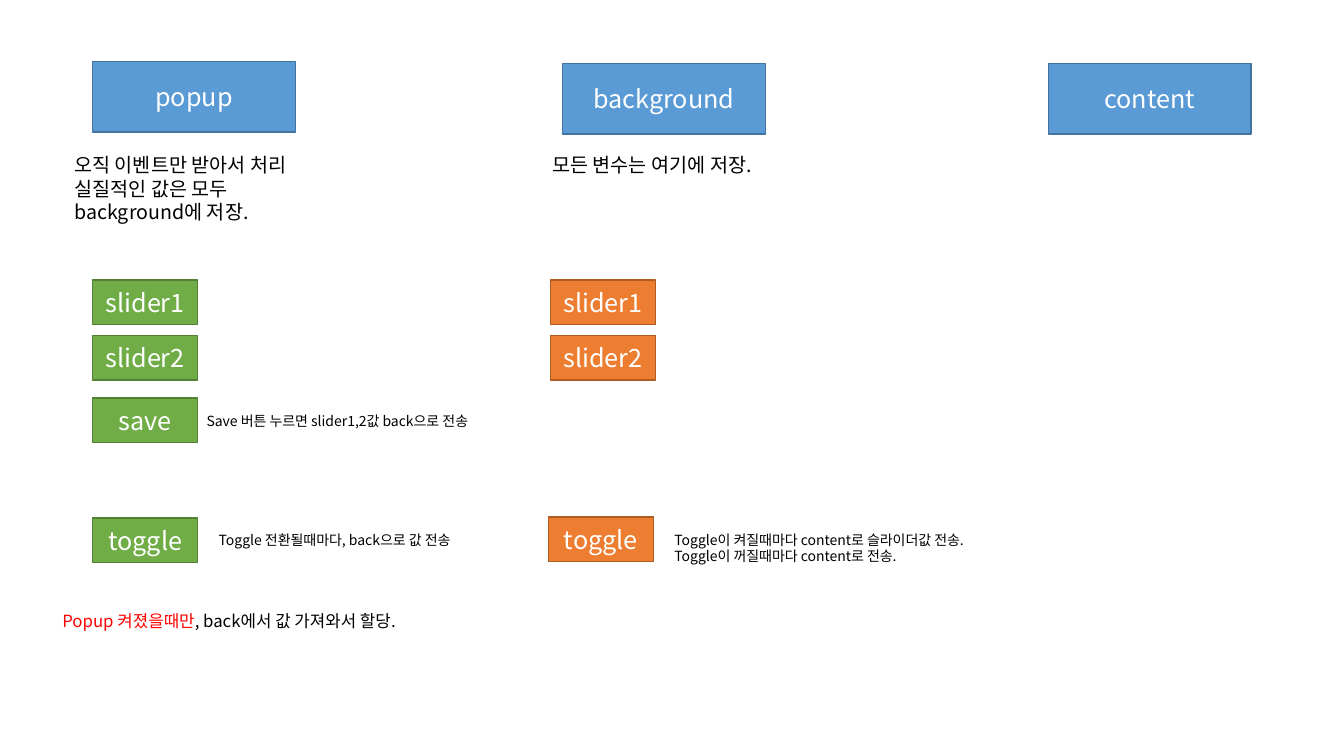
from dataclasses import dataclass

from lxml import etree
from pptx import Presentation
from pptx.dml.color import RGBColor
from pptx.enum.shapes import MSO_SHAPE
from pptx.enum.text import MSO_ANCHOR, MSO_AUTO_SIZE, PP_ALIGN
from pptx.oxml.ns import qn
from pptx.util import Inches, Pt

RECT = MSO_SHAPE.RECTANGLE
MIDDLE = MSO_ANCHOR.MIDDLE
CENTER = PP_ALIGN.CENTER
FIT_SHAPE = MSO_AUTO_SIZE.SHAPE_TO_FIT_TEXT


@dataclass(frozen=True)
class Theme:
    """Colours, as (fill, line) pairs for boxes, and type sizes."""
    font: str = "Noto Sans CJK KR"
    blue: tuple = ("5B9BD5", "43739E")
    green: tuple = ("70AD47", "538035")
    orange: tuple = ("ED7D31", "AF5C24")
    white: str = "FFFFFF"
    black: str = "000000"
    red: str = "FF0000"
    label: int = 18
    body: int = 14
    rule: int = 12
    note: int = 10


THEME = Theme()
HEADER_SIZE = (2.01, 0.7)
CONTROL_SIZE = (1.04, 0.44)
SLIDER_STEP = 0.55


def set_font(p, size, color):
    """Style a whole paragraph, for Latin and Korean text alike."""
    p.font.size = Pt(size)
    p.font.color.rgb = RGBColor.from_string(color)
    p.font.name = THEME.font
    latin = p._p.pPr.find(qn("a:defRPr")).find(qn("a:latin"))
    ea = etree.Element(qn("a:ea"), typeface=THEME.font)
    latin.addnext(ea)


def add_box(s, left, top, size, text, colors):
    """Add a rectangle with a centred white label."""
    fill, line = colors
    sp = s.shapes.add_shape(RECT, Inches(left), Inches(top), *map(Inches, size))
    sp.shadow.inherit = False
    sp.fill.solid()
    sp.fill.fore_color.rgb = RGBColor.from_string(fill)
    sp.line.color.rgb = RGBColor.from_string(line)
    sp.line.width = Pt(1)
    tf = sp.text_frame
    tf.vertical_anchor = MIDDLE
    p = tf.paragraphs[0]
    p.alignment = CENTER
    p.add_run().text = text
    set_font(p, THEME.label, THEME.white)


def add_text(s, box, lines, size):
    """Add an unwrapped text box with one paragraph per line."""
    tf = s.shapes.add_textbox(*map(Inches, box)).text_frame
    tf.word_wrap = False
    tf.auto_size = FIT_SHAPE
    for i, line in enumerate(lines):
        p = tf.add_paragraph() if i else tf.paragraphs[0]
        p.add_run().text = line
        set_font(p, size, THEME.black)
    return tf


def add_header(s, left, top, name, text_box=None, lines=()):
    """Add a component header and, if given, its description."""
    add_box(s, left, top, HEADER_SIZE, name, THEME.blue)
    if lines:
        add_text(s, text_box, lines, THEME.body)


def add_sliders(s, left, top, colors):
    """Stack the two slider boxes from the given corner."""
    for i in range(2):
        add_box(s, left, top + i * SLIDER_STEP, CONTROL_SIZE, f"slider{i + 1}", colors)


def add_control(s, left, top, name, colors, note_box, lines):
    """Add a control box and the note to its right, offset from its corner."""
    add_box(s, left, top, CONTROL_SIZE, name, colors)
    dx, dy, width, height = note_box
    add_text(s, (left + dx, top + dy, width, height), lines, THEME.note)


def add_rule(s, box, condition, action):
    """Add the closing rule with its condition in red."""
    tf = add_text(s, box, [condition], THEME.rule)
    p = tf.paragraphs[0]
    p.runs[0].font.color.rgb = RGBColor.from_string(THEME.red)
    p.add_run().text = action


def build_slide(prs):
    """Build the popup, background and content overview."""
    s = prs.slides.add_slide(prs.slide_layouts[6])
    add_header(s, 0.92, 0.61, "popup", (0.64, 1.47, 2.57, 0.81),
               ["오직 이벤트만 받아서 처리", "실질적인 값은 모두", "background에 저장."])
    add_header(s, 5.58, 0.63, "background", (5.38, 1.47, 2.41, 0.34),
               ["모든 변수는 여기에 저장."])
    add_header(s, 10.4, 0.63, "content")

    add_sliders(s, 0.92, 2.78, THEME.green)
    add_sliders(s, 5.46, 2.78, THEME.orange)

    add_control(s, 0.92, 3.95, "save", THEME.green, (1.03, 0.09, 2.99, 0.27),
                ["Save 버튼 누르면 slider1,2값 back으로 전송"])
    add_control(s, 0.92, 5.14, "toggle", THEME.green, (1.15, 0.08, 2.71, 0.27),
                ["Toggle 전환될때마다, back으로 값 전송"])
    add_control(s, 5.44, 5.13, "toggle", THEME.orange, (1.15, 0.09, 3.32, 0.44),
                ["Toggle이 켜질때마다 content로 슬라이더값 전송.",
                 "Toggle이 꺼질때마다 content로 전송. "])
    add_rule(s, (0.52, 6.01, 3.77, 0.3),
             "Popup 켜졌을때만", ", back에서 값 가져와서 할당.")


prs = Presentation()
prs.slide_width = Inches(13.33)
prs.slide_height = Inches(7.5)
build_slide(prs)
prs.save("out.pptx")
